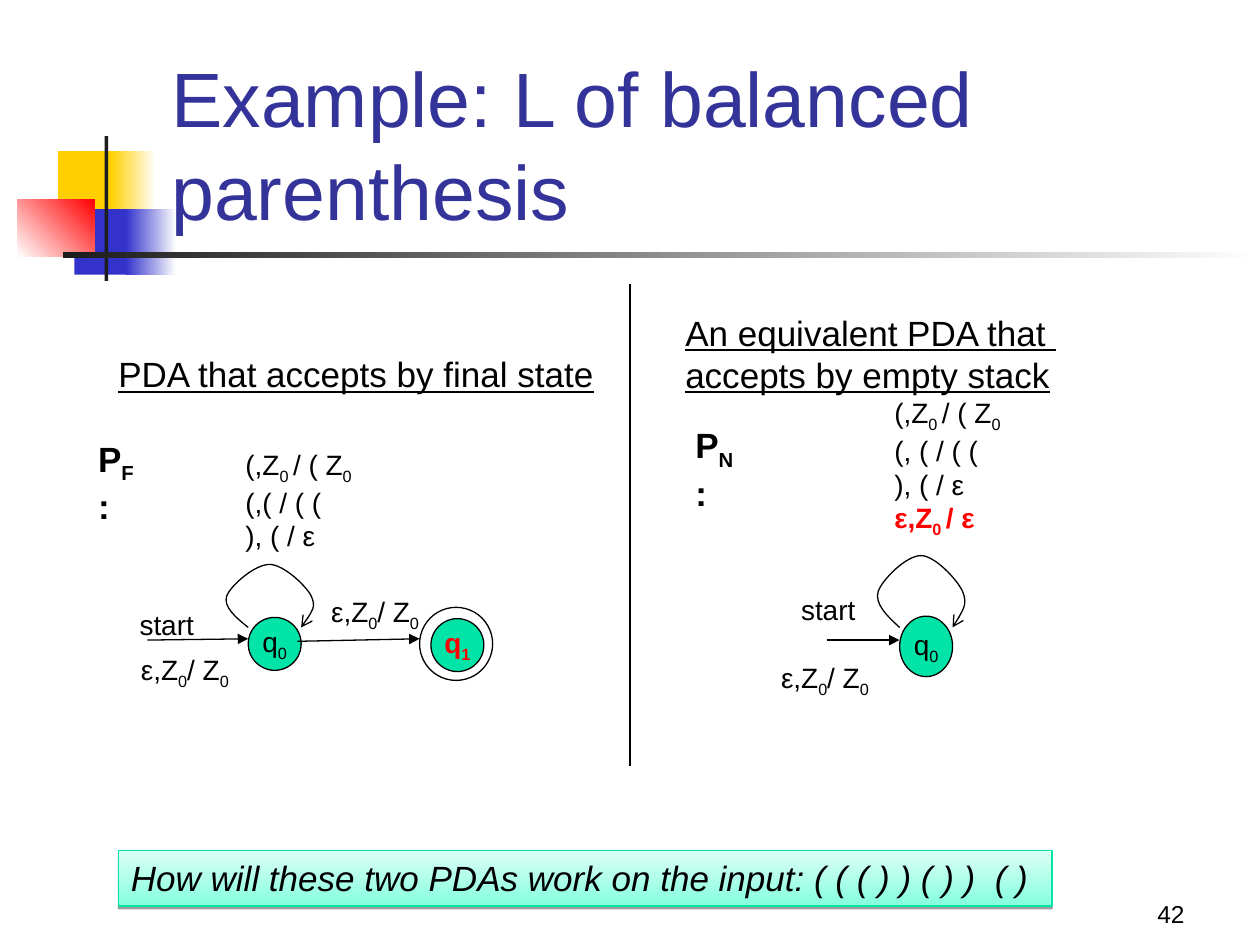
from pptx import Presentation
from pptx.dml.color import RGBColor
from pptx.enum.shapes import MSO_CONNECTOR, MSO_SHAPE
from pptx.enum.text import MSO_ANCHOR, MSO_AUTO_SIZE, PP_ALIGN
from pptx.oxml.ns import qn
from pptx.oxml.xmlchemy import OxmlElement
from pptx.util import Inches, Pt

color = RGBColor.from_string


def write(shape, lines, size, ink="000000", bold=None):
    """Fill a shape with paragraphs; odd parts between underscores are subscripts."""
    frame = shape.text_frame
    frame.word_wrap = False
    for i, line in enumerate(lines):
        par = frame.paragraphs[0] if i == 0 else frame.add_paragraph()
        for j, part in enumerate(line.split("_")):
            if j % 2 == 0:
                par.add_run().text = part
            else:
                run = par.add_run()
                run.text = part
                run._r.get_or_add_rPr().set("baseline", "-25000")
        par.font.size = Pt(size)
        par.font.name = "Arial"
        par.font.bold = bold
        par.font.color.rgb = color(ink)
    return frame


def draw(kind, left, top, width, height, fills, angle=0, edge=None):
    """Add a shape with no fill, one colour or a two-colour gradient."""
    shape = shapes.add_shape(kind, Inches(left), Inches(top), Inches(width), Inches(height))
    shape.shadow.inherit = False
    if not fills:
        shape.fill.background()
    elif len(fills) == 1:
        shape.fill.solid()
        shape.fill.fore_color.rgb = color(fills[0])
    else:
        shape.fill.gradient()
        shape.fill.gradient_angle = angle
        for stop, tone in zip(shape.fill.gradient_stops, fills):
            stop.color.rgb = color(tone)
    if edge:
        shape.line.color.rgb = color(edge)
        shape.line.width = Pt(0.75)
    else:
        shape.line.fill.background()
    return shape


deck = Presentation()
deck.slide_width, deck.slide_height = Inches(10), Inches(7.5)
slide = deck.slides.add_slide(deck.slide_layouts[5])
shapes = slide.shapes

# Corner ornament and rule
for left, top, width, height, fills, angle in [
    (0.46, 1.2, 0.48, 0.52, ["FFCF01"], 0),
    (0.88, 1.2, 0.36, 0.52, ["FFCF01", "FFFFFF"], 0),
    (0.59, 1.66, 0.46, 0.52, ["3333CC"], 0),
    (1, 1.66, 0.4, 0.52, ["3333CC", "FFFFFF"], 0),
    (0.14, 1.58, 0.61, 0.46, ["FFFFFF", "FF0000"], 45),
    (0.83, 1.08, 0.03, 1.15, ["1C1C1C"], 0),
    (0.5, 2, 9.5, 0.05, ["1C1C1C", "FFFFFF"], 0),
]:
    draw(MSO_SHAPE.RECTANGLE, left, top, width, height, fills, angle)

# Title, in front of the ornament
title = shapes.title
title.left, title.top = Inches(1.26), Inches(0.67)
title.width, title.height = Inches(8.52), Inches(1.25)
frame = write(title, ["Example: L of balanced parenthesis"], 44, "333399")
frame.word_wrap = True
frame.auto_size = MSO_AUTO_SIZE.NONE
frame.vertical_anchor = MSO_ANCHOR.BOTTOM
frame.paragraphs[0].alignment = PP_ALIGN.LEFT
shapes._spTree.append(title._element)

# States
draw(MSO_SHAPE.OVAL, 3.33, 4.82, 0.58, 0.58, [], edge="000000")
for left, top, height, name, ink, bold in [
    (1.97, 4.9, 0.42, "q_0", "000000", None),
    (3.42, 4.91, 0.42, "q_1", "FF0000", True),
    (7.14, 4.89, 0.48, "q_0", "000000", None),
]:
    state = draw(MSO_SHAPE.OVAL, left, top, 0.42, height, ["00E4A8"], edge="000000")
    frame = write(state, [name], 16, ink, bold)
    frame.vertical_anchor = MSO_ANCHOR.MIDDLE
    frame.paragraphs[0].alignment = PP_ALIGN.CENTER

# Divider, transitions and self-loops, each with its arrowhead
strokes = []
for x1, y1, x2, y2, head in [
    (5, 2.25, 5, 6.08, None),
    (1.17, 5.08, 1.97, 5.07, "triangle"),
    (2.36, 5.09, 3.33, 5.07, "triangle"),
    (6.56, 5.08, 7.14, 5.08, "triangle"),
]:
    line = shapes.add_connector(
        MSO_CONNECTOR.STRAIGHT, Inches(x1), Inches(y1), Inches(x2), Inches(y2))
    strokes.append((line, head))

# Bezier points: inches across, share of the loop's height up
curve = [(-0.1, 0.16), (-0.2, 0.33), (-0.17, 0.5),
         (-0.14, 0.66), (0.05, 1), (0.17, 1),
         (0.28, 1), (0.46, 0.66), (0.5, 0.5),
         (0.54, 0.33), (0.48, 0.16), (0.42, 0)]
for left, rise in [(1.97, 0.5), (7.14, 0.57)]:
    pen = shapes.build_freeform(Inches(left), Inches(4.98))
    pen.add_line_segments(
        [(Inches(left + x), Inches(4.98 - y * rise)) for x, y in curve], close=False)
    loop = pen.convert_to_shape()
    loop.fill.background()
    # Turn every three straight segments into one cubic curve
    legs = list(loop._element.iter(qn("a:lnTo")))
    for i in range(0, len(legs), 3):
        bend = OxmlElement("a:cubicBezTo")
        legs[i].addprevious(bend)
        for leg in legs[i:i + 3]:
            bend.append(leg[0])
            leg.getparent().remove(leg)
    strokes.append((loop, "arrow"))

for stroke, head in strokes:
    stroke.line.color.rgb = color("000000")
    stroke.line.width = Pt(0.75)
    if head:
        tip = OxmlElement("a:tailEnd")
        tip.set("type", head)
        stroke.line._get_or_add_ln().append(tip)
    stroke._element.spPr.append(OxmlElement("a:effectLst"))

# Labels
push = "ε,Z_0_/ Z_0"
for left, top, width, height, lines, size, bold in [
    (1.85, 3.5, 1.04, 0.94, ["(,Z_0 _/ ( Z_0", "(,( / ( (", "), ( / ε"], 16, None),
    (1.01, 4.77, 0.63, 0.37, ["start"], 16, None),
    (2.53, 4.67, 0.95, 0.41, [push], 16, None),
    (1.02, 5.13, 0.95, 0.41, [push], 16, None),
    (6.26, 4.65, 0.63, 0.37, ["start"], 16, None),
    (7, 3.09, 1.04, 1.32,
     ["(,Z_0 _/ ( Z_0", "(, ( / ( (", "), ( / ε", "ε,Z_0 _/ ε"], 16, None),
    (6.1, 5.19, 0.95, 0.41, [push], 16, None),
    (0.68, 3.42, 0.57, 0.48, ["P_F_:"], 20, True),
    (5.42, 3.31, 0.59, 0.48, ["P_N_:"], 20, True),
]:
    label = shapes.add_textbox(Inches(left), Inches(top), Inches(width), Inches(height))
    frame = write(label, lines, size, bold=bold)
    if len(lines) == 4:
        last = frame.paragraphs[3].font
        last.bold = True
        last.color.rgb = color("FF0000")

# Headings
for left, top, width, height, text in [
    (0.84, 2.75, 3.99, 0.44, "PDA that accepts by final state"),
    (5.34, 2.42, 3.15, 0.77, "An equivalent PDA that \vaccepts by empty stack"),
]:
    heading = shapes.add_textbox(Inches(left), Inches(top), Inches(width), Inches(height))
    par = write(heading, [""], 20).paragraphs[0]
    par.text = text
    par.font.underline = True

# Question bar
bar = draw(MSO_SHAPE.RECTANGLE, 0.94, 6.75, 7.41, 0.44,
           ["85FFDE", "DCFFF5"], 90, "00E4A7")
frame = write(bar, ["How will these two PDAs work on the input: ( ( ( ) ) ( ) )  ( )"], 20)
frame.vertical_anchor = MSO_ANCHOR.TOP
frame.paragraphs[0].alignment = PP_ALIGN.LEFT
frame.paragraphs[0].font.italic = True
shade = OxmlElement("a:outerShdw")
shade.set("dist", str(Pt(1.6)))
shade.set("dir", "5400000")
shade.set("rotWithShape", "0")
tone = OxmlElement("a:srgbClr")
tone.set("val", "000000")
alpha = OxmlElement("a:alpha")
alpha.set("val", "38000")
tone.append(alpha)
shade.append(tone)
bar._element.spPr.find(qn("a:effectLst")).append(shade)

# Page number
page = shapes.add_textbox(Inches(7.42), Inches(6.92), Inches(2.08), Inches(0.5))
frame = write(page, ["42"], 14)
frame.word_wrap = True
frame.vertical_anchor = MSO_ANCHOR.BOTTOM
frame.paragraphs[0].alignment = PP_ALIGN.RIGHT

deck.save("out.pptx")
